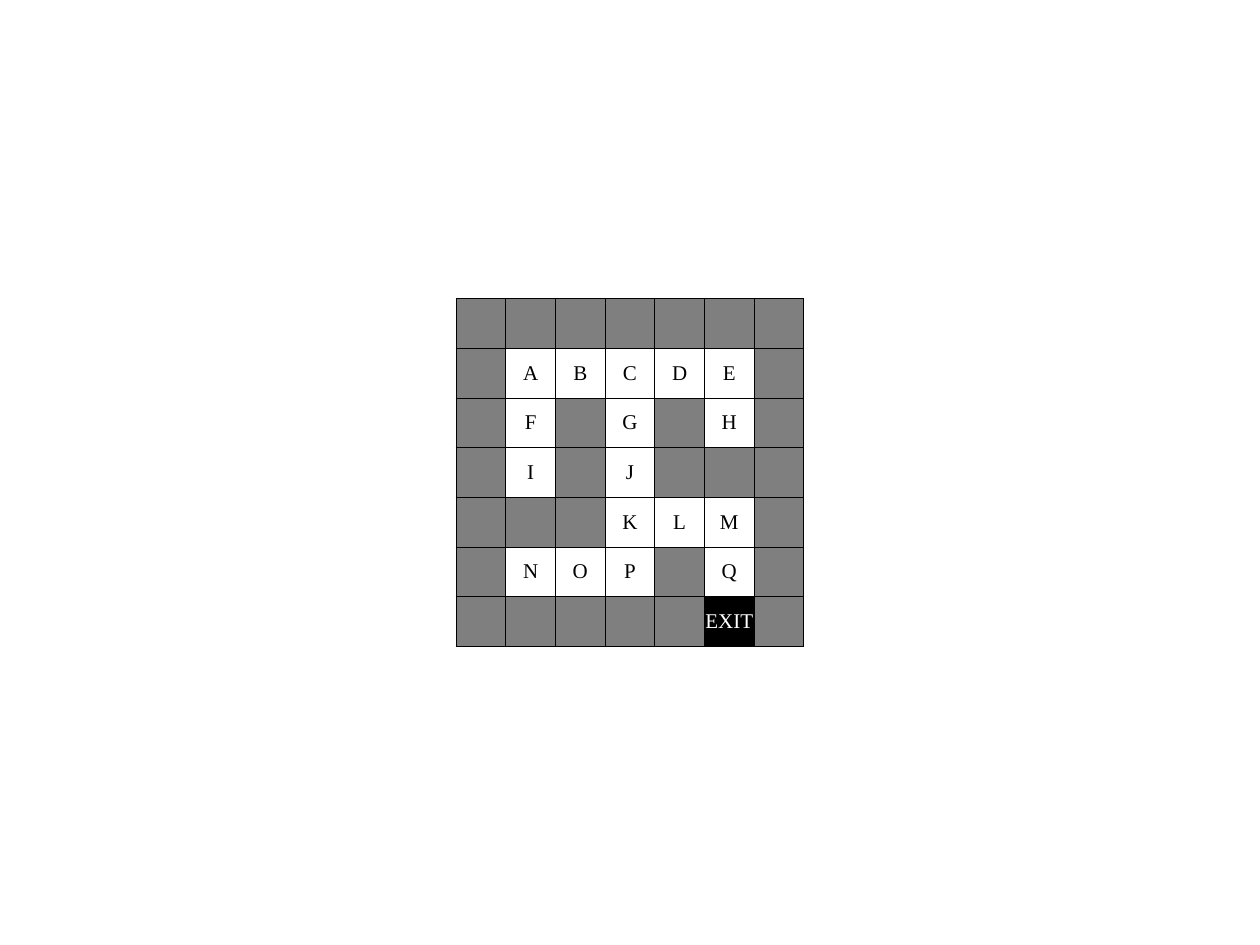
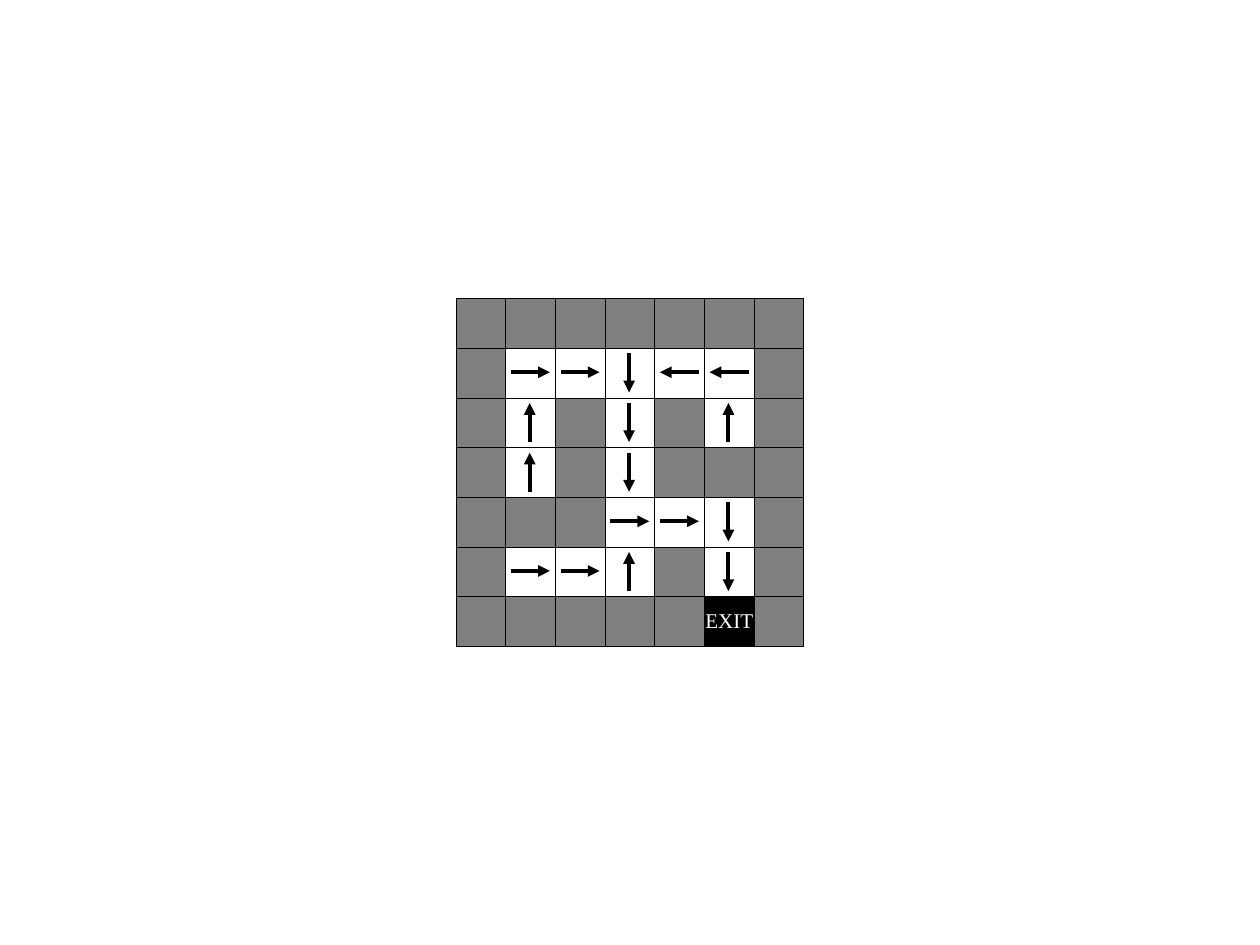
from lxml import etree
from pptx import Presentation
from pptx.dml.color import RGBColor
from pptx.enum.shapes import MSO_CONNECTOR, MSO_SHAPE
from pptx.enum.text import MSO_ANCHOR, PP_ALIGN
from pptx.oxml import parse_xml
from pptx.oxml.ns import nsdecls, qn
from pptx.util import Inches, Pt

CENTER, MIDDLE = PP_ALIGN.CENTER, MSO_ANCHOR.MIDDLE
RECT, STRAIGHT = MSO_SHAPE.RECTANGLE, MSO_CONNECTOR.STRAIGHT

COLORS = {name: RGBColor.from_string(value) for name, value in {
    "wall": "7F7F7F", "exit": "000000", "ink": "000000", "paper": "FFFFFF"}.items()}
CELL_FORMAT = {"margin_left": 0, "margin_right": 0, "margin_top": 0,
               "margin_bottom": 0, "vertical_anchor": MIDDLE}
FONT_FORMAT = {"name": "Times New Roman", "size": Pt(12)}
TABLE_FORMAT = {"first_row": False, "horz_banding": False}

# Maze: # is a wall, X the exit, letters are the open squares
MAZE = ["#######",
        "#ABCDE#",
        "#F#G#H#",
        "#I#J###",
        "###KLM#",
        "#NOP#Q#",
        "#####X#"]
# Squares by the direction that leads to the exit
DIRECTIONS = {"right": "ABKLNO", "left": "DE", "up": "FHIP", "down": "CGJMQ"}

LEFT, TOP, SIZE = 3.62, 2.37, 2.76
PITCH = SIZE / len(MAZE)
TILE, TILE_GAP = 0.35, 0.02
NEAR, MID, FAR = 0.04, 0.19, 0.35
# Arrow ends inside a square: x1, y1, x2, y2
ARROWS = {"right": (NEAR, MID, FAR, MID), "left": (FAR, MID, NEAR, MID),
          "up": (MID, FAR, MID, NEAR), "down": (MID, NEAR, MID, FAR)}


def add_maze(s, show_letters):
    frame = s.shapes.add_table(len(MAZE), len(MAZE[0]), Inches(LEFT), Inches(TOP),
                               Inches(SIZE), Inches(SIZE))
    table = frame.table
    for key, value in TABLE_FORMAT.items():
        setattr(table, key, value)
    for column in table.columns:
        column.width = Inches(PITCH)
    for row in table.rows:
        row.height = Inches(PITCH)

    for r, squares in enumerate(MAZE):
        for c, square in enumerate(squares):
            cell = table.cell(r, c)
            for key, value in CELL_FORMAT.items():
                setattr(cell, key, value)
            # Thin border on all four sides
            for side in ("lnL", "lnR", "lnT", "lnB"):
                cell._tc.get_or_add_tcPr().append(parse_xml(
                    f'<a:{side} {nsdecls("a")} w="{Pt(0.5)}"><a:solidFill>'
                    f'<a:srgbClr val="{COLORS["ink"]}"/></a:solidFill></a:{side}>'))
            # Walls and exit are filled, open squares are not
            if square in "#X":
                cell.fill.solid()
                cell.fill.fore_color.rgb = COLORS["wall" if square == "#" else "exit"]
            else:
                cell.fill.background()
            # Labels
            if square == "X" or (show_letters and square != "#"):
                p = cell.text_frame.paragraphs[0]
                p.alignment = CENTER
                run = p.add_run()
                run.text = "EXIT" if square == "X" else square
                run.font.color.rgb = COLORS["paper" if square == "X" else "ink"]
                for key, value in FONT_FORMAT.items():
                    setattr(run.font, key, value)


def add_arrow(s, x, y, direction):
    group = s.shapes.add_group_shape()
    # Translucent tile behind the arrow
    sp = group.shapes.add_shape(RECT, Inches(x + TILE_GAP), Inches(y + TILE_GAP),
                                Inches(TILE), Inches(TILE))
    sp.shadow.inherit = False
    sp.line.fill.background()
    sp.fill.solid()
    sp.fill.fore_color.rgb = COLORS["paper"]
    color = sp._element.spPr.find(qn("a:solidFill"))[0]
    etree.SubElement(color, qn("a:alpha"), val="47000")
    # Arrow
    x1, y1, x2, y2 = ARROWS[direction]
    line = group.shapes.add_connector(STRAIGHT, Inches(x + x1), Inches(y + y1),
                                      Inches(x + x2), Inches(y + y2))
    line.line.width = Pt(2.25)
    line.line.color.rgb = COLORS["ink"]
    etree.SubElement(line.line._get_or_add_ln(), qn("a:tailEnd"), type="triangle")
    etree.SubElement(line._element.spPr, qn("a:effectLst"))


prs = Presentation()
prs.slide_width, prs.slide_height = Inches(10), Inches(7.5)
blank = prs.slide_layouts[6]

# Slide 1: lettered maze
s = prs.slides.add_slide(blank)
add_maze(s, show_letters=True)

# Slide 2: the way out from every square
s = prs.slides.add_slide(blank)
add_maze(s, show_letters=False)
for direction, letters in DIRECTIONS.items():
    for r, squares in enumerate(MAZE):
        for c, square in enumerate(squares):
            if square in letters:
                add_arrow(s, LEFT + c * PITCH, TOP + r * PITCH, direction)

prs.save("out.pptx")
